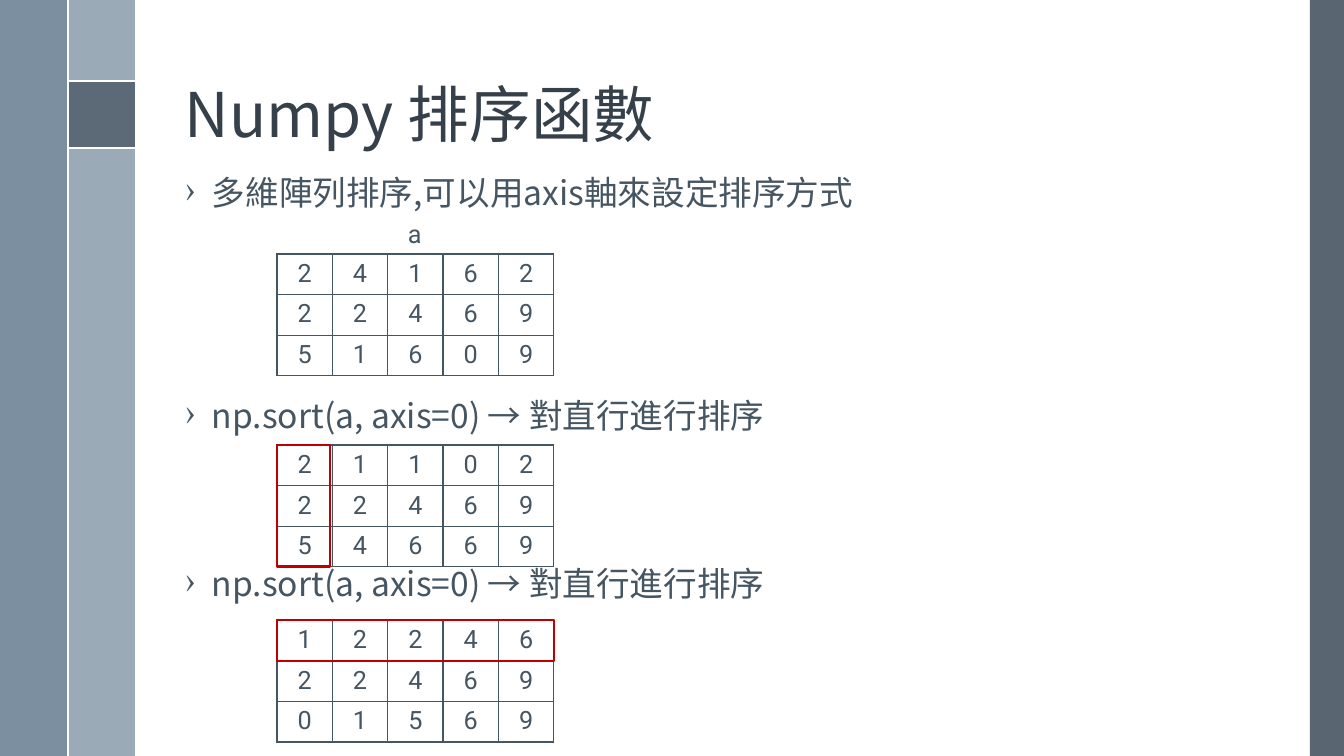
"""Build the slide on sorting a multidimensional NumPy array."""
from lxml.etree import SubElement
from pptx import Presentation
from pptx.dml.color import RGBColor
from pptx.enum.shapes import MSO_CONNECTOR as Connector, MSO_SHAPE as Shape
from pptx.enum.text import MSO_ANCHOR as Anchor, PP_ALIGN as Align
from pptx.oxml.ns import qn
from pptx.util import Emu, Pt

SCALE = 914400 / 100.8


def px(*lengths):
    return [Emu(round(length * SCALE)) for length in lengths]


def color(code):
    return RGBColor.from_string(code)


class SlideBuilder:
    ink, title_ink, accent, white = "465562", "35404A", "C00000", "FFFFFF"
    heading_font, number_font = "Noto Sans CJK TC", "Roboto"

    def __init__(self, slide):
        self.slide = slide
        self.shapes = slide.shapes

    def style(self, paragraph, size, font, ink):
        paragraph.font.size = Pt(size)
        paragraph.font.name = font
        paragraph.font.color.rgb = color(ink)
        defaults = paragraph._p.pPr.find(qn("a:defRPr"))
        SubElement(defaults, qn("a:ea"), typeface=font)

    def rect(self, box, fill=None, opacity=100, line=None):
        rect = self.shapes.add_shape(Shape.RECTANGLE, *px(*box))
        rect.shadow.inherit = False
        if fill:
            rect.fill.solid()
            rect.fill.fore_color.rgb = color(fill)
            if opacity < 100:
                tint = rect._element.spPr.find(".//" + qn("a:srgbClr"))
                SubElement(tint, qn("a:alpha"), val=str(opacity * 1000))
        else:
            rect.fill.background()
        if line:
            rect.line.color.rgb = color(line)
            rect.line.width = Pt(2)
        else:
            rect.line.fill.background()

    def rule(self, *ends):
        rule = self.shapes.add_connector(Connector.STRAIGHT, *px(*ends))
        rule.line.color.rgb = color(self.white)
        rule.line.width = Pt(1.5)
        SubElement(rule._element.spPr, qn("a:effectLst"))

    def text(self, box, words, size, font, ink, anchor=Anchor.TOP,
             spacing=None, bullet=None, wrap=True):
        frame = self.shapes.add_textbox(*px(*box)).text_frame
        frame.word_wrap = wrap
        frame.vertical_anchor = anchor
        paragraph = frame.paragraphs[0]
        paragraph.text = words
        if bullet:
            properties = paragraph._p.get_or_add_pPr()
            indent, = px(27)
            properties.set("marL", str(indent))
            properties.set("indent", str(-indent))
            SubElement(properties, qn("a:buChar"), char=bullet)
        if spacing:
            paragraph.line_spacing = spacing
        self.style(paragraph, size, font, ink)

    def title(self, words):
        self.text((175, 19, 1079, 137), words, 44, self.heading_font,
                  self.title_ink, Anchor.BOTTOM, 0.9)

    def point(self, top, words):
        self.text((175, top, 1079, 54), words, 24, self.heading_font,
                  self.ink, spacing=0.9, bullet="›")

    def border(self, cell):
        properties = cell._tc.get_or_add_tcPr()
        for position, side in enumerate(("lnL", "lnR", "lnT", "lnB")):
            edge = properties.makeelement(qn("a:" + side), {"w": str(Pt(1))})
            fill = SubElement(edge, qn("a:solidFill"))
            SubElement(fill, qn("a:srgbClr"), val=self.ink)
            properties.insert(position, edge)

    def matrix(self, box, rows):
        table = self.shapes.add_table(len(rows), len(rows[0]), *px(*box)).table
        table.first_row = table.horz_banding = False
        for r, row in enumerate(rows):
            for c, number in enumerate(row):
                cell = table.cell(r, c)
                cell.fill.background()
                self.border(cell)
                paragraph = cell.text_frame.paragraphs[0]
                paragraph.text = number
                paragraph.alignment = Align.CENTER
                self.style(paragraph, 18, self.number_font, self.ink)


deck = Presentation()
deck.slide_width, deck.slide_height = px(1344, 756)
page = SlideBuilder(deck.slides.add_slide(deck.slide_layouts[6]))

page.rect((1310, 0, 34, 756), "475562", 90)
page.rect((68, 0, 67, 756), "9BAAB7")
page.rect((0, 0, 67, 756), "6A8093", 88)
page.rect((68, 81, 67, 67), "475562", 75)
for height in (81, 148):
    page.rule(68, height, 135, height)
page.rule(68, 0, 68, 756)

page.title("Numpy 排序函數")
sort_call = "np.sort(a, axis=0) → 對直行進行排序"
for top, words in ((171, "多維陣列排序,可以用axis軸來設定排序方式".replace(",", ",")),
                   (394, sort_call), (562, sort_call)):
    page.point(top, words)

left, width, height = 277, 277, 122
page.text((398, 213, 34, 40), "a", 18, page.number_font, page.ink, wrap=False)
for top, rows, outline in (
        (254, ("24162", "22469", "51609"), None),
        (445, ("21102", "22469", "54669"), (53, height)),
        (620, ("12246", "22469", "01569"), (width, 41))):
    page.matrix((left, top, width, height), rows)
    if outline:
        page.rect((left, top, *outline), line=page.accent)

deck.save("out.pptx")
